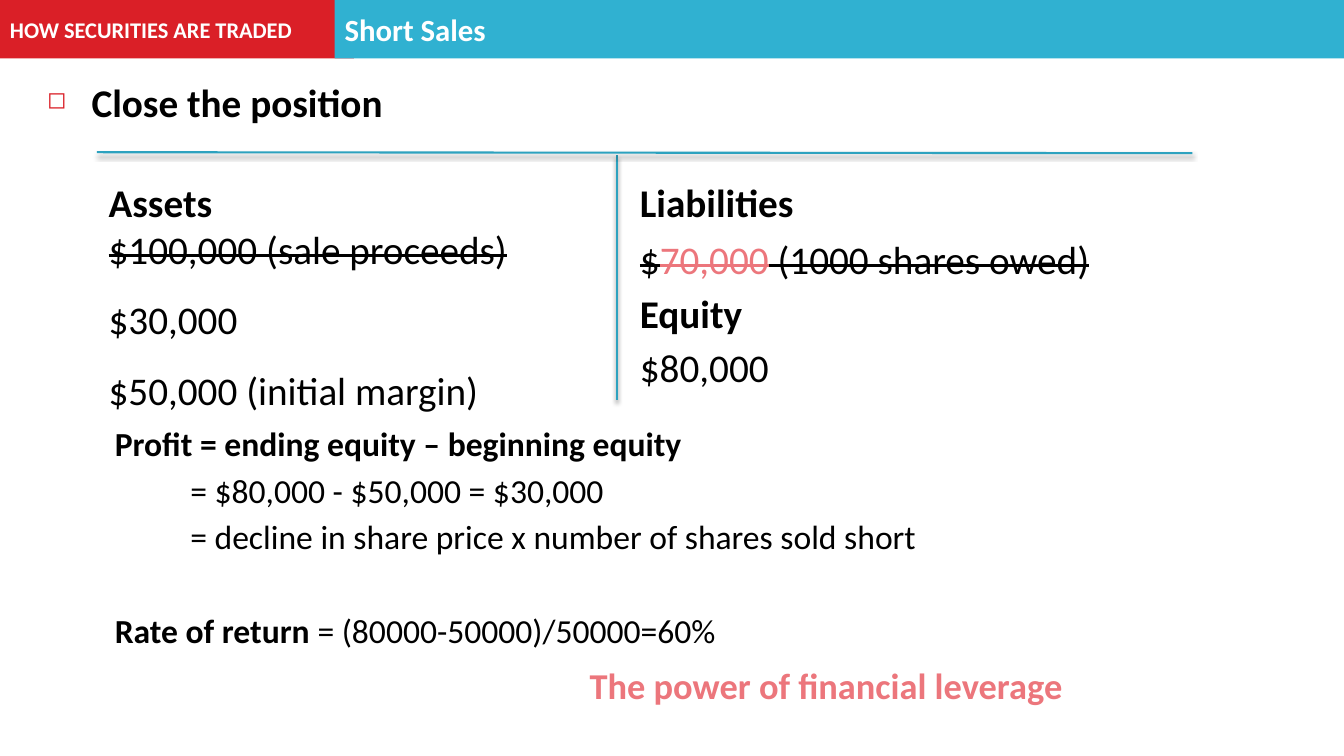
from lxml.etree import SubElement
from pptx import Presentation
from pptx.dml.color import RGBColor
from pptx.enum.shapes import MSO_CONNECTOR as Connector, MSO_SHAPE as Shape
from pptx.enum.text import MSO_ANCHOR as Anchor, PP_ALIGN as Align
from pptx.oxml.ns import qn
from pptx.util import Inches, Pt

RED = RGBColor(0xDA, 0x1F, 0x27)
BLUE = RGBColor(0x30, 0xB1, 0xD1)
RULE_BLUE = RGBColor(0x2D, 0xA2, 0xBF)
PINK = RGBColor(0xEC, 0x76, 0x7C)
BLACK = RGBColor(0, 0, 0)
WHITE = RGBColor(255, 255, 255)

FONT = "Calibri"
COLUMNS, ROWS = 133.33, 75
CELL = Inches(0.1)
BAR_HEIGHT = 5.8
BOLD = {"bold": True}
STRUCK = {"strike": True}


def cells(*counts):
    """Turn counts of grid columns or rows into lengths."""
    return [round(count * CELL) for count in counts]


def add_run(paragraph, text, size, bold=False, color=BLACK, strike=False):
    run = paragraph.add_run()
    run.text = text
    for name, value in {"name": FONT, "size": Pt(size), "bold": bold}.items():
        setattr(run.font, name, value)
    run.font.color.rgb = color
    if strike:
        run.font._element.set("strike", "sngStrike")


def indent(paragraph, left, first=0):
    properties = paragraph._p.get_or_add_pPr()
    for name, count in {"marL": left, "indent": first}.items():
        properties.set(name, str(cells(count)[0]))


def add_bullet(paragraph, character, color, percent):
    properties = paragraph._p.get_or_add_pPr()
    bullet_color = SubElement(properties, qn("a:buClr"))
    SubElement(bullet_color, qn("a:srgbClr"), val=str(color))
    SubElement(properties, qn("a:buSzPct"), val=str(percent * 1000))
    SubElement(properties, qn("a:buChar"), char=character)


def add_bar(slide, left, width, color, text, size):
    bar = slide.shapes.add_shape(Shape.RECTANGLE, *cells(left, 0, width, BAR_HEIGHT))
    bar.shadow.inherit = False
    bar.fill.solid()
    bar.fill.fore_color.rgb = color
    bar.line.fill.background()
    bar.text_frame.vertical_anchor = Anchor.MIDDLE
    paragraph = bar.text_frame.paragraphs[0]
    paragraph.alignment = Align.LEFT
    add_run(paragraph, text, size, bold=True, color=WHITE)


def add_text(slide, place, size, lines, anchor=Anchor.TOP):
    """Each line is (runs, paragraph formats, indent); return the paragraphs."""
    frame = slide.shapes.add_textbox(*cells(*place)).text_frame
    frame.word_wrap = True
    frame.vertical_anchor = anchor
    for index, (runs, formats, left) in enumerate(lines):
        paragraph = frame.add_paragraph() if index else frame.paragraphs[0]
        for name, value in formats.items():
            setattr(paragraph, name, value)
        if left:
            indent(paragraph, left)
        for text, style in runs:
            add_run(paragraph, text, size, **style)
    return frame.paragraphs


def add_rule(slide, *ends):
    """Draw a line of the T-account with a soft shadow below it."""
    rule = slide.shapes.add_connector(Connector.STRAIGHT, *cells(*ends))
    rule.line.color.rgb = RULE_BLUE
    rule.line.width = Pt(1.5)
    effects = SubElement(rule._element.spPr, qn("a:effectLst"))
    shadow = SubElement(effects, qn("a:outerShdw"), blurRad=str(Pt(3)),
                        dist=str(Pt(2.4)), dir="5400000", rotWithShape="0")
    color = SubElement(shadow, qn("a:srgbClr"), val=str(BLACK))
    SubElement(color, qn("a:alpha"), val="45000")


def add_account(slide):
    add_rule(slide, 61.2, 15.4, 61.2, 39.7)
    add_rule(slide, 9.6, 15.1, 118.3, 15.2)
    wide = {"line_spacing": 1.5}
    add_text(slide, (9.8, 12.1, 61.6, 29.4), 28, [
        ([("Assets", BOLD)], {}, 0),
        ([("$100,000 (sale proceeds)", STRUCK)], {}, 0),
        ([("$30,000", {})], wide, 0),
        ([("$50,000 (initial margin)", {})], wide, 0),
    ], Anchor.BOTTOM)
    gap = {"space_before": Pt(5)}
    owed = [("$", STRUCK), ("70,000", {"color": PINK, **STRUCK}),
            (" (1000 shares owed)", STRUCK)]
    add_text(slide, (62.5, 10.7, 70.8, 28.5), 28, [
        ([("Liabilities", BOLD)], {}, 0),
        (owed, {"space_before": Pt(7)}, 0),
        ([("Equity", BOLD)], gap, 0),
        ([("$80,000", {})], gap, 0),
    ], Anchor.BOTTOM)


def add_profit(slide):
    gap = {"space_before": Pt(4.3)}
    add_text(slide, (10.4, 41.5, 119.8, 24.4), 24, [
        ([("Profit = ending equity – beginning equity", BOLD)], {}, 0),
        ([("= $80,000 - $50,000 = $30,000", {})], gap, 7.5),
        ([("= decline in share price x number of shares sold short", {})], gap, 7.5),
        ([("Rate of return ", BOLD), ("= (80000-50000)/50000=60%", {})],
         {"space_before": Pt(38)}, 0),
    ])
    add_text(slide, (57.5, 65.3, 50.8, 5.4), 26, [
        ([("The power of financial leverage", {"color": PINK, **BOLD})], {}, 0),
    ])


def main():
    presentation = Presentation()
    presentation.slide_width, presentation.slide_height = cells(COLUMNS, ROWS)
    slide = presentation.slides.add_slide(presentation.slide_layouts[6])
    add_bar(slide, 0, 35.1, RED, "HOW SECURITIES ARE TRADED", 16)
    add_bar(slide, 33.2, COLUMNS - 33.2, BLUE, "Short Sales", 22)
    heading = add_text(slide, (3.7, 7.3, 125.9, 12.8), 28,
                       [([("Close the position", BOLD)], {}, 0)])[0]
    indent(heading, 4.4, -4.4)
    add_bullet(heading, "◻", RED, 60)
    add_account(slide)
    add_profit(slide)
    presentation.save("out.pptx")


if __name__ == "__main__":
    main()
